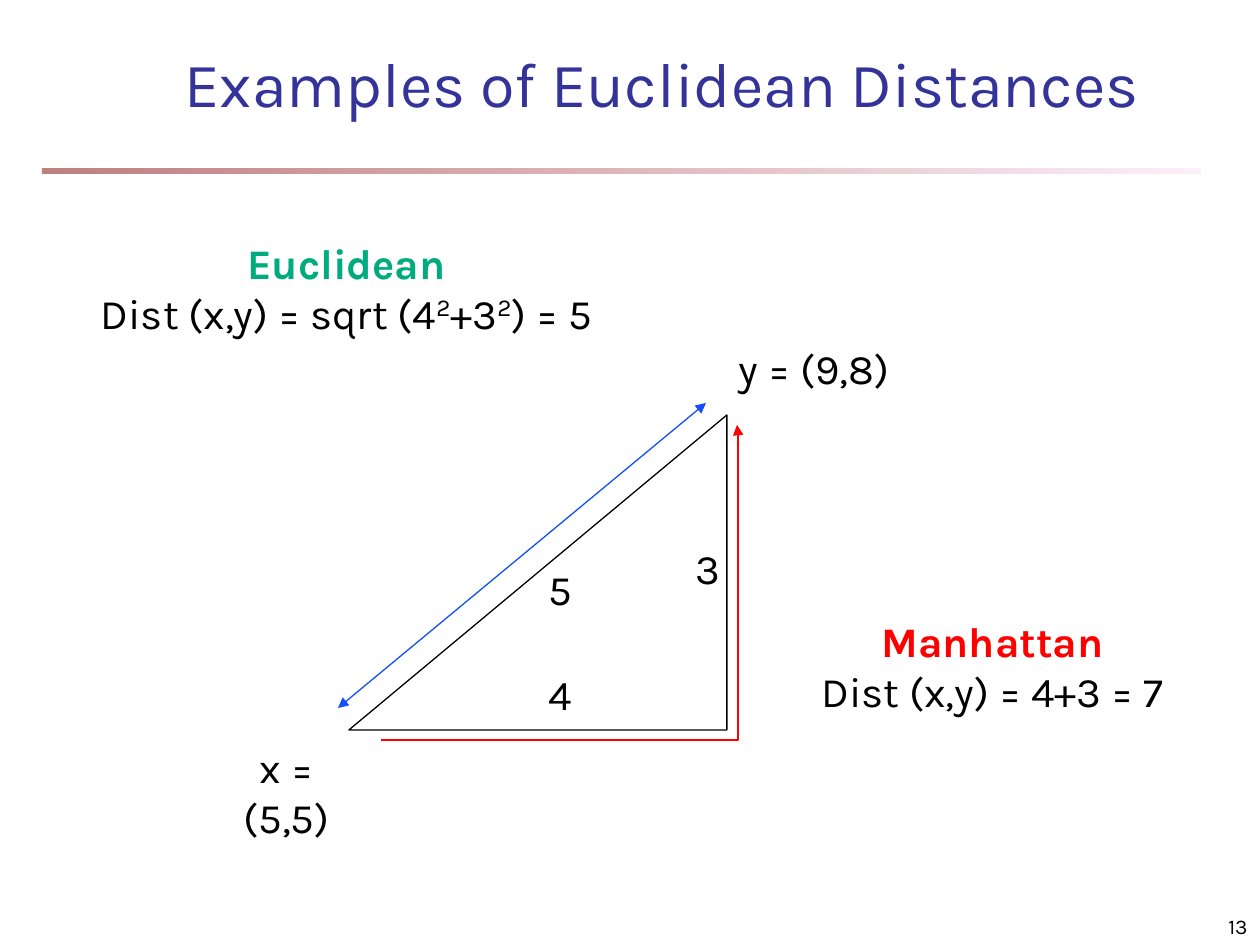
from dataclasses import dataclass

import lxml.etree
import pptx
import pptx.dml.color
import pptx.enum.shapes
import pptx.enum.text
import pptx.oxml.ns
import pptx.util

SCALE = 914400 / 126
FONT = "Karla"
BLACK, RED, BLUE = "000000", "FF0000", "114FFB"
ALIGN = pptx.enum.text.PP_ALIGN
ANCHOR = pptx.enum.text.MSO_ANCHOR
SHAPE = pptx.enum.shapes.MSO_SHAPE
LINK = pptx.enum.shapes.MSO_CONNECTOR


@dataclass
class Label:
    text: str
    box: tuple[int, int, int, int]
    wrap: bool = False
    right: int = 13


@dataclass
class Method:
    name: str
    rule: str
    hue: str
    box: tuple[int, int, int, int]


LABELS = [
    Label("x = (5,5)", (231, 735, 171, 63), wrap=True, right=66),
    Label("y = (9,8)", (725, 336, 178, 64)),
    Label("4", (536, 662, 47, 64)),
    Label("3", (683, 536, 47, 63)),
    Label("5", (536, 557, 47, 63)),
]
METHODS = [
    Method("Euclidean", "Dist (x,y) = sqrt (4^2^+3^2^) = 5", "00AB7E", (63, 231, 567, 115)),
    Method("Manhattan", "Dist (x,y) = 4+3 = 7", RED, (777, 609, 431, 115)),
]


def px(*nums: int) -> list[pptx.util.Emu]:
    return [pptx.util.Emu(round(num * SCALE)) for num in nums]


def color(code: str) -> pptx.dml.color.RGBColor:
    return pptx.dml.color.RGBColor.from_string(code)


def child(node, tag: str, **attrs: str):
    return lxml.etree.SubElement(node, pptx.oxml.ns.qn(tag), attrs)


def write(para, text: str, size: int = 24, hue: str = BLACK,
          bold: bool = False, align=ALIGN.CENTER) -> None:
    """Fill a paragraph; parts between carets are superscript."""
    para.alignment = align
    for spot, part in enumerate(text.split("^")):
        run = para.add_run()
        run.text = part
        font = run.font
        font.name, font.size, font.bold = FONT, pptx.util.Pt(size), bold
        font.color.rgb = color(hue)
        if spot % 2:
            font._element.set("baseline", "30000")


def frame(slide, box: tuple[int, int, int, int], wrap: bool = True):
    text = slide.shapes.add_textbox(*px(*box)).text_frame
    text.word_wrap = wrap
    return text


def outline(shape, hue: str) -> None:
    shape.line.color.rgb = color(hue)
    shape.line.width = pptx.util.Pt(0.75)


def arrow(slide, kind, ends: tuple[int, int, int, int], hue: str, heads: tuple[str, ...]):
    link = slide.shapes.add_connector(kind, *px(*ends))
    outline(link, hue)
    for head in heads:
        child(link.line._get_or_add_ln(), head, type="triangle")
    child(link._element.spPr, "a:effectLst")
    return link


def rule(slide) -> None:
    """Draw the fading band below the title."""
    band = slide.shapes.add_shape(SHAPE.RECTANGLE, *px(42, 168, 1159, 6))
    band.shadow.inherit = False
    band.line.fill.background()
    band.fill.gradient()
    band.fill.gradient_angle = 0
    for stop, hue, place in zip(band.fill.gradient_stops, ("800000", "FAE2F6"), (0, 1)):
        stop.color.rgb = color(hue)
        stop.position = place
    for node in band._element.spPr.iter(pptx.oxml.ns.qn("a:srgbClr")):
        child(node, "a:alpha", val="50000")


def heading(slide) -> None:
    title = slide.shapes.title
    title.left, title.top, title.width, title.height = px(32, 42, 1260, 84)
    title.text_frame.vertical_anchor = ANCHOR.BOTTOM
    write(title.text_frame.paragraphs[0], "Examples of Euclidean Distances", size=36, hue="333399")


def triangle(slide) -> None:
    shape = slide.shapes.add_shape(SHAPE.RIGHT_TRIANGLE, *px(349, 415, 378, 315))
    shape.shadow.inherit = False
    shape.fill.background()
    outline(shape, BLACK)
    shape._element.spPr.xfrm.set("flipH", "1")


def main() -> None:
    deck = pptx.Presentation()
    deck.slide_width, deck.slide_height = px(1260, 945)
    slide = deck.slides.add_slide(deck.slide_layouts[5])

    rule(slide)
    heading(slide)
    number = frame(slide, (998, 892, 262, 53))
    number.vertical_anchor = ANCHOR.BOTTOM
    write(number.paragraphs[0], "13", size=12, align=ALIGN.RIGHT)

    triangle(slide)
    arrow(slide, LINK.STRAIGHT, (338, 708, 706, 403), BLUE, ("a:headEnd", "a:tailEnd"))
    path_link = arrow(slide, LINK.ELBOW, (381, 740, 737, 425), RED, ("a:tailEnd",))
    guides = path_link._element.spPr.find(".//" + pptx.oxml.ns.qn("a:avLst"))
    child(guides, "a:gd", name="adj1", fmla="val 100300")

    for label in LABELS:
        text = frame(slide, label.box, wrap=label.wrap)
        text.margin_left, text.margin_right = px(6 if label.wrap else 13, label.right)
        write(text.paragraphs[0], label.text)
    for method in METHODS:
        text = frame(slide, method.box)
        write(text.paragraphs[0], method.name, hue=method.hue, bold=True)
        write(text.add_paragraph(), method.rule)

    deck.save("out.pptx")


if __name__ == "__main__":
    main()
